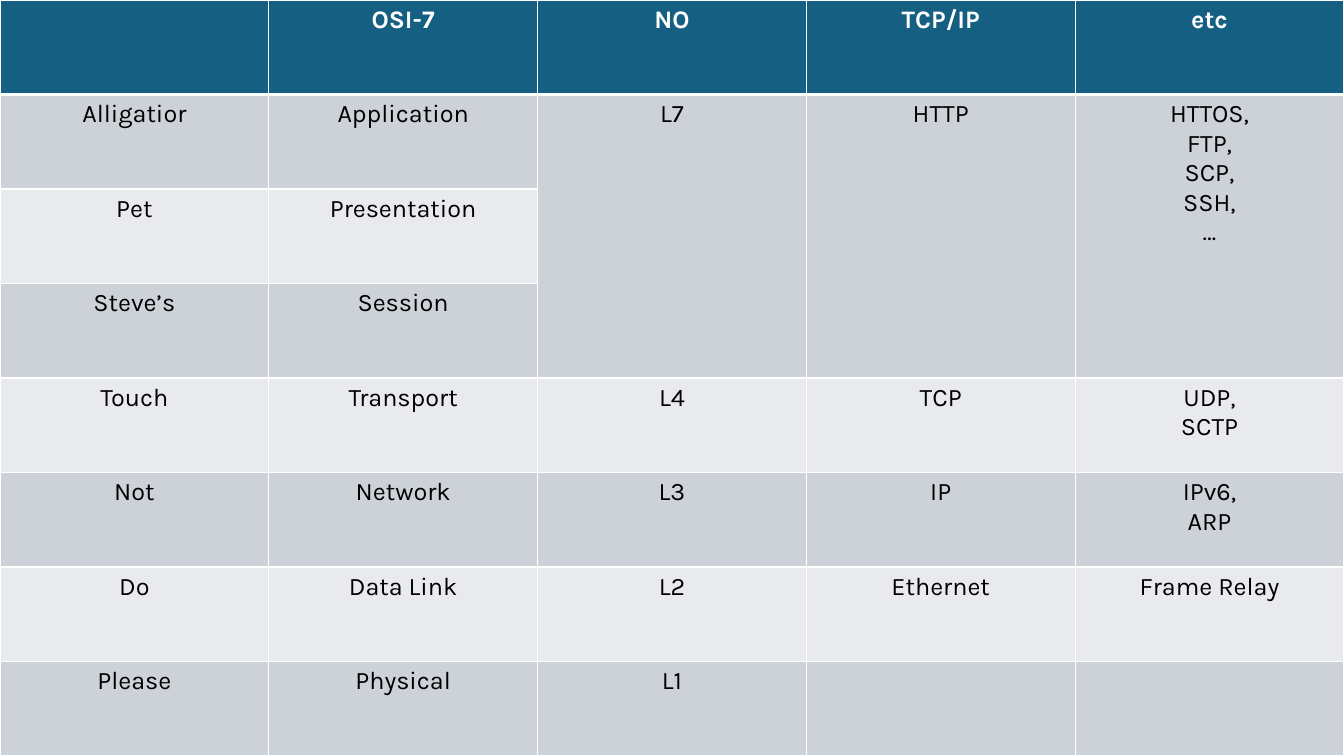
from dataclasses import dataclass

from lxml.etree import SubElement
from pptx import Presentation
from pptx.dml.color import RGBColor as Rgb
from pptx.enum.text import PP_ALIGN as Align
from pptx.oxml.ns import qn
from pptx.table import Table, _Cell as Cell
from pptx.util import Pt

PX = 9525
WIDE, HIGH = 1280, 720
FONT = "Karla"
HUES = {
    "head": "156082",
    "dark": "CCD2D8",
    "light": "E8EAED",
    "rule": "FFFFFF",
    "label": "FFFFFF",
    "text": "000000",
}


@dataclass(frozen=True)
class Layer:
    word: str
    name: str
    level: str = ""
    main: str = ""
    other: str = ""
    span: int = 1

    def texts(self) -> list[str]:
        return [self.word, self.name, self.level, self.main, self.other]


LAYERS = [
    Layer("", "OSI-7", "NO", "TCP/IP", "etc"),
    Layer("Alligatior", "Application", "L7", "HTTP", "HTTOS,\nFTP,\nSCP,\nSSH,\n…", 3),
    Layer("Pet", "Presentation"),
    Layer("Steve’s", "Session"),
    Layer("Touch", "Transport", "L4", "TCP", "UDP,\nSCTP"),
    Layer("Not", "Network", "L3", "IP", "IPv6,\nARP"),
    Layer("Do", "Data Link", "L2", "Ethernet", "Frame Relay"),
    Layer("Please", "Physical", "L1"),
]
COLS = 5


def rule(cell: Cell, side: str, width: int) -> None:
    line = SubElement(cell._tc.get_or_add_tcPr(), qn(f"a:ln{side}"), w=str(Pt(width)))
    fill = SubElement(line, qn("a:solidFill"))
    SubElement(fill, qn("a:srgbClr"), val=HUES["rule"])


def paint(cell: Cell, row: int) -> None:
    thick = {(0, "B"), (1, "T")}
    for side in "LRTB":
        rule(cell, side, 3 if (row, side) in thick else 1)
    tone = "head" if row == 0 else "dark" if row % 2 else "light"
    cell.fill.solid()
    cell.fill.fore_color.rgb = Rgb.from_string(HUES[tone])


def write(cell: Cell, text: str, head: bool) -> None:
    frame = cell.text_frame
    for i, part in enumerate(text.split("\n")):
        para = frame.add_paragraph() if i else frame.paragraphs[0]
        para.alignment = Align.CENTER
        if not part:
            continue
        run = para.add_run()
        run.text = part
        font = run.font
        font.name, font.size, font.bold = FONT, Pt(18), head
        font.color.rgb = Rgb.from_string(HUES["label" if head else "text"])


def fill(table: Table) -> None:
    for row, layer in enumerate(LAYERS):
        for col, text in enumerate(layer.texts()):
            cell = table.cell(row, col)
            paint(cell, row)
            write(cell, text, row == 0)
        if layer.span > 1:
            for col in range(2, COLS):
                table.cell(row, col).merge(table.cell(row + layer.span - 1, col))


def main() -> None:
    deck = Presentation()
    deck.slide_width, deck.slide_height = WIDE * PX, HIGH * PX
    slide = deck.slides.add_slide(deck.slide_layouts[6])
    size = WIDE * PX, HIGH * PX
    table = slide.shapes.add_table(len(LAYERS), COLS, 0, 0, *size).table
    fill(table)
    deck.save("out.pptx")


if __name__ == "__main__":
    main()
